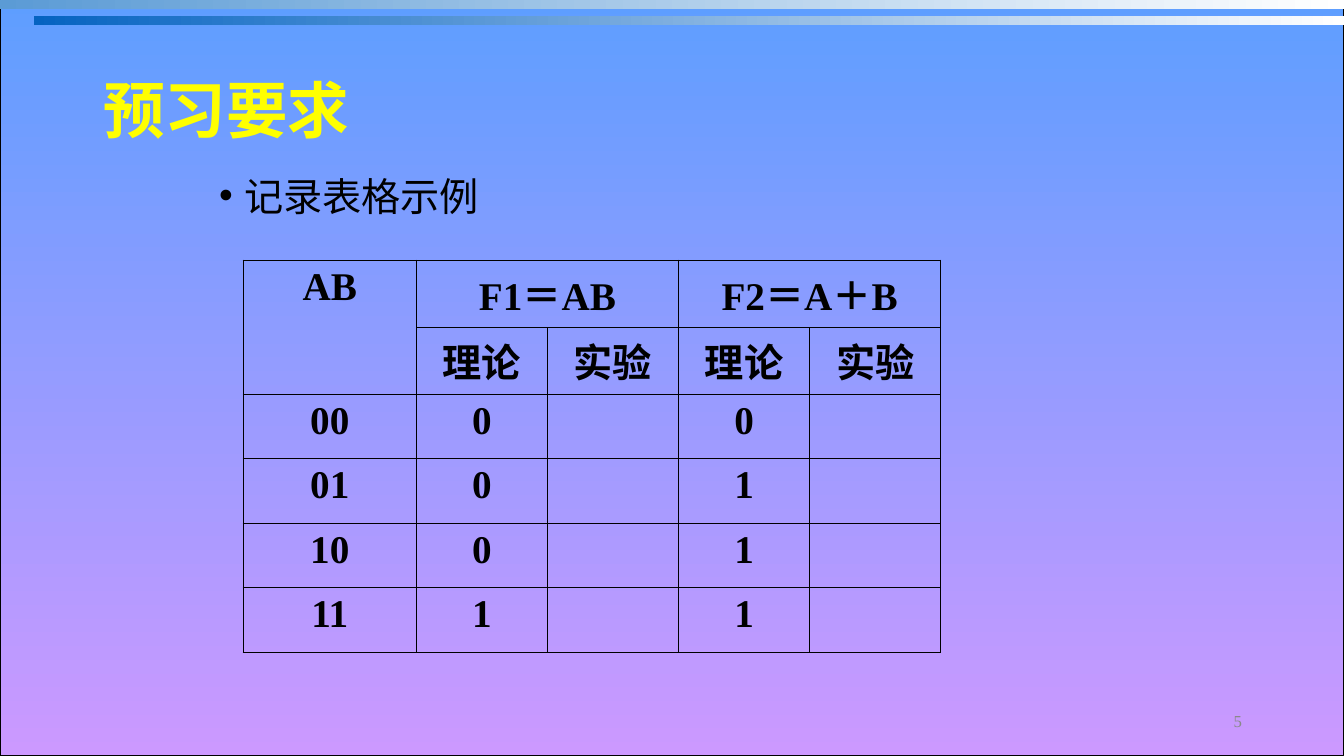
"""Build the preview-requirements slide with a sample truth table for recording results."""
from lxml import etree
from pptx import Presentation
from pptx import util as u
from pptx.dml.color import RGBColor
from pptx.enum import shapes, text
from pptx.oxml.ns import qn

PX = 9080


def color(value):
    return RGBColor.from_string(value)


def add_text(paragraph, words, size, face, ink, bold=False):
    run = paragraph.add_run()
    run.text = words
    run.font.size = u.Pt(size)
    run.font.name = face
    run.font.bold = bold
    run.font.color.rgb = color(ink)


prs = Presentation()
prs.slide_width, prs.slide_height = 1343 * PX, 755 * PX
slide = prs.slides.add_slide(prs.slide_layouts[1])

backdrop = [
    (0, 0, 1343, 755, "5E9EFF", "CC99FF", 270),
    (34, 16, 1309, 9, "0563C1", "FFFFFF", 0),
    (0, 0, 1343, 9, "5B9BD5", "FFFFFF", 0),
]
for layer, (left, top, width, height, start, end, angle) in enumerate(backdrop):
    panel = slide.shapes.add_shape(
        shapes.MSO_SHAPE.RECTANGLE, left * PX, top * PX, width * PX, height * PX)
    panel.shadow.inherit = False
    panel.fill.gradient()
    panel.fill.gradient_angle = angle
    for stop, tint in zip(panel.fill.gradient_stops, (start, end)):
        stop.color.rgb = color(tint)
    if layer == 0:
        panel.line.color.rgb = color("000000")
        panel.line.width = u.Pt(0.75)
    else:
        panel.line.fill.background()
    slide.shapes._spTree.insert(2 + layer, panel._element)

heading = slide.shapes.title
heading.left, heading.top, heading.width, heading.height = 93 * PX, 40 * PX, 1158 * PX, 146 * PX
heading.text_frame.auto_size = text.MSO_AUTO_SIZE.NONE
heading.text_frame.vertical_anchor = text.MSO_ANCHOR.MIDDLE
heading_line = heading.text_frame.paragraphs[0]
heading_line.alignment = text.PP_ALIGN.LEFT
heading_line.line_spacing = 0.9
add_text(heading_line, "预习要求", 44, "Calibri", "FFFF00", True)

example = slide.placeholders[1]
example.left, example.top, example.width, example.height = 209 * PX, 176 * PX, 856 * PX, 453 * PX
example.text_frame.auto_size = text.MSO_AUTO_SIZE.NONE
example_line = example.text_frame.paragraphs[0]
example_props = example_line._p.get_or_add_pPr()
example_props.set("marL", str(25 * PX))
example_props.set("indent", str(-25 * PX))
bullet_color = etree.SubElement(example_props, qn("a:buClr"))
etree.SubElement(bullet_color, qn("a:srgbClr"), val="000000")
etree.SubElement(example_props, qn("a:buFont"), typeface="Arial")
etree.SubElement(example_props, qn("a:buChar"), char="•")
example_line.line_spacing = 0.8
example_line.space_before = u.Pt(0)
add_text(example_line, "记录表格示例", 28, "Calibri", "000000")

page_number = slide.shapes.add_textbox(949 * PX, 700 * PX, 302 * PX, 40 * PX)
page_number.text_frame.word_wrap = True
page_number.text_frame.vertical_anchor = text.MSO_ANCHOR.MIDDLE
page_line = page_number.text_frame.paragraphs[0]
page_line.alignment = text.PP_ALIGN.RIGHT
add_text(page_line, "5", 12, "Times New Roman", "898989")

records = [
    ["AB", "F1＝AB", "", "F2＝A＋B", ""],
    ["", "理论", "实验", "理论", "实验"],
    ["00", "0", "", "0", ""],
    ["01", "0", "", "1", ""],
    ["10", "0", "", "1", ""],
    ["11", "1", "", "1", ""],
]
col_widths = [173] + [131] * 4
row_heights = [67, 67] + [64, 65] * 2
truth_table = slide.shapes.add_table(
    len(row_heights), len(col_widths), 243 * PX, 260 * PX,
    sum(col_widths) * PX, sum(row_heights) * PX).table
truth_table.first_row = False
truth_table.horz_banding = False
for column, width in zip(truth_table.columns, col_widths):
    column.width = width * PX
for row, height in zip(truth_table.rows, row_heights):
    row.height = height * PX
for first, last in [((0, 0), (1, 0)), ((0, 1), (0, 2)), ((0, 3), (0, 4))]:
    truth_table.cell(*first).merge(truth_table.cell(*last))

for r, record in enumerate(records):
    for c, words in enumerate(record):
        cell = truth_table.cell(r, c)
        cell.fill.background()
        outer_edges = {
            "L": c == 0,
            "R": c + cell.span_width == len(col_widths),
            "T": r == 0,
            "B": r + cell.span_height == len(row_heights),
        }
        cell_props = cell._tc.get_or_add_tcPr()
        for place, (side, outer) in enumerate(outer_edges.items()):
            border = etree.Element(qn(f"a:ln{side}"), w=str(u.Pt(1.08 if outer else 0.45)))
            border_fill = etree.SubElement(border, qn("a:solidFill"))
            etree.SubElement(border_fill, qn("a:srgbClr"), val="000000")
            cell_props.insert(place, border)
        if words:
            cell_line = cell.text_frame.paragraphs[0]
            cell_line.alignment = text.PP_ALIGN.CENTER
            add_text(cell_line, words, 28, "Times New Roman", "000000", True)

prs.save("out.pptx")
